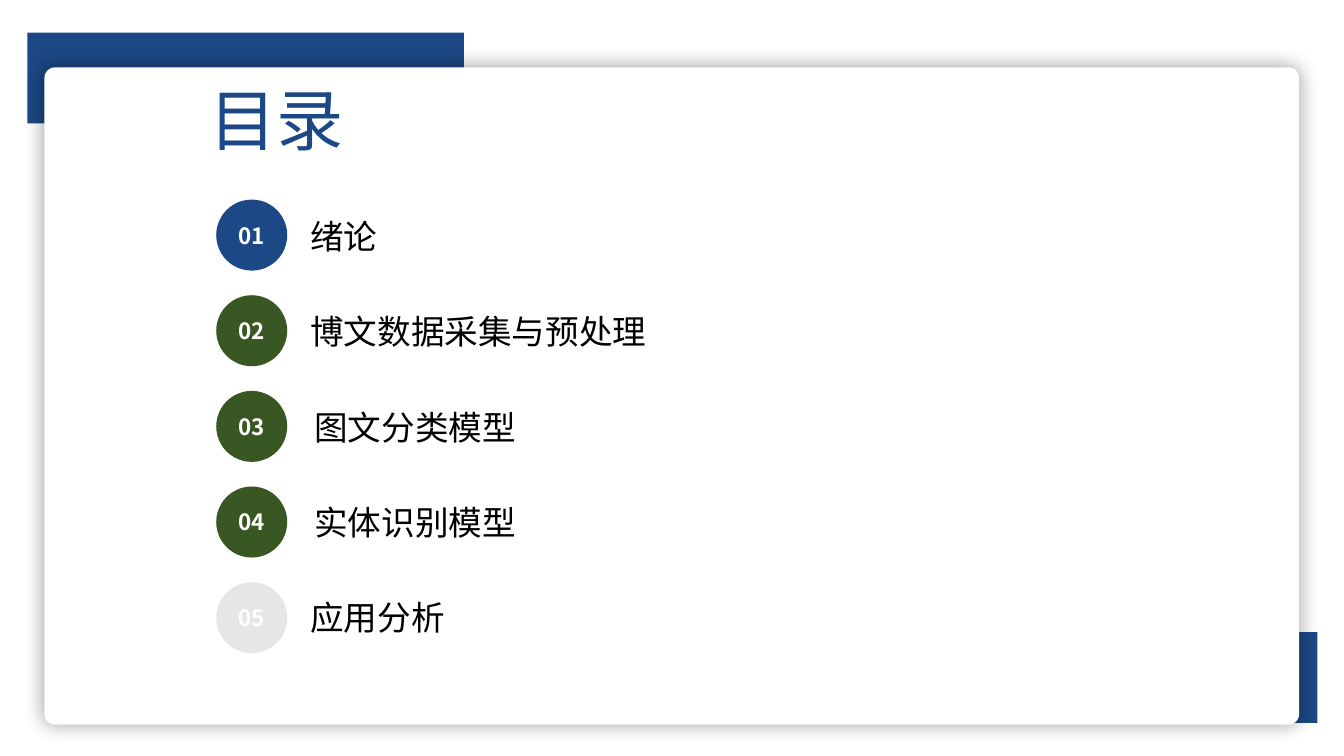
from lxml.etree import SubElement
from pptx import Presentation
from pptx.dml.color import RGBColor
from pptx.enum.shapes import MSO_SHAPE
from pptx.enum.text import MSO_ANCHOR, MSO_AUTO_SIZE, PP_ALIGN
from pptx.oxml.ns import qn
from pptx.util import Cm, Pt

NAVY = RGBColor(0x1C, 0x48, 0x85)
GREEN = RGBColor(0x38, 0x57, 0x23)
GREY = RGBColor(0xE7, 0xE6, 0xE6)
WHITE = RGBColor(0xFF, 0xFF, 0xFF)
BLACK = RGBColor(0x00, 0x00, 0x00)

BADGE_SIZE = 1.79
BADGE_LEFT, BADGE_TOP, BADGE_PITCH = 5.45, 5.03, 2.41
LABEL_TOP, LABEL_PITCH = 5.32, 2.4
CHAPTERS = [
    ("绪论", NAVY, 7.57),
    ("博文数据采集与预处理", GREEN, 7.57),
    ("图文分类模型", GREEN, 7.67),
    ("实体识别模型", GREEN, 7.67),
    ("应用分析", GREY, 7.57),
]


class ContentsSlide:
    font_name = "Noto Sans CJK SC"

    def __init__(self, deck):
        self.slide = deck.slides.add_slide(deck.slide_layouts[5])
        self.shapes = self.slide.shapes

    def add_text(self, frame, text, size, color, align, bold=False):
        paragraph = frame.paragraphs[0]
        paragraph.alignment = align
        run = paragraph.add_run()
        run.text = text
        run.font.name = self.font_name
        run.font.size = Pt(size)
        run.font.bold = bold
        run.font.color.rgb = color
        SubElement(run.font._element, qn("a:ea"), typeface=self.font_name)

    def block(self, kind, left, top, width, height, color):
        shape = self.shapes.add_shape(kind, Cm(left), Cm(top), Cm(width), Cm(height))
        shape.shadow.inherit = False
        shape.fill.solid()
        shape.fill.fore_color.rgb = color
        shape.line.fill.background()
        return shape

    def card(self, left, top, width, height):
        card = self.block(MSO_SHAPE.ROUNDED_RECTANGLE, left, top, width, height, WHITE)
        card.adjustments[0] = 0.016
        effects = card._element.spPr.find(qn("a:effectLst"))
        shadow = SubElement(effects, qn("a:outerShdw"), blurRad=str(Cm(0.5)),
                            dist="0", algn="ctr", rotWithShape="0")
        shade = SubElement(shadow, qn("a:srgbClr"), val=str(BLACK))
        SubElement(shade, qn("a:alpha"), val="40000")

    def title(self, text, left, top, width, height):
        title = self.shapes.title
        title.element.getparent().append(title.element)
        title.left, title.top = Cm(left), Cm(top)
        title.width, title.height = Cm(width), Cm(height)
        title.text_frame.vertical_anchor = MSO_ANCHOR.TOP
        title.text_frame.auto_size = MSO_AUTO_SIZE.SHAPE_TO_FIT_TEXT
        self.add_text(title.text_frame, text, 48, NAVY, PP_ALIGN.JUSTIFY)

    def badge(self, number, left, top, color):
        badge = self.block(MSO_SHAPE.OVAL, left, top, BADGE_SIZE, BADGE_SIZE, color)
        badge.text_frame.vertical_anchor = MSO_ANCHOR.MIDDLE
        self.add_text(badge.text_frame, number, 16, WHITE, PP_ALIGN.CENTER, bold=True)

    def label(self, text, left, top):
        label = self.shapes.add_textbox(Cm(left), Cm(top), Cm(10.29), Cm(1.27))
        label.text_frame.word_wrap = True
        label.text_frame.auto_size = MSO_AUTO_SIZE.SHAPE_TO_FIT_TEXT
        self.add_text(label.text_frame, text, 24, BLACK, PP_ALIGN.JUSTIFY)


def main():
    deck = Presentation()
    deck.slide_width, deck.slide_height = Cm(33.87), Cm(19.05)
    contents = ContentsSlide(deck)
    for left, top in [(22.2, 15.93), (0.69, 0.82)]:
        contents.block(MSO_SHAPE.RECTANGLE, left, top, 11, 2.29, NAVY)
    contents.card(1.12, 1.7, 31.62, 16.56)
    contents.title("目录", 5.03, 1.85, 6.45, 2.31)
    for row, (chapter, color, label_left) in enumerate(CHAPTERS):
        contents.badge(f"{row + 1:02}", BADGE_LEFT, BADGE_TOP + row * BADGE_PITCH, color)
        contents.label(chapter, label_left, LABEL_TOP + row * LABEL_PITCH)
    deck.save("out.pptx")


if __name__ == "__main__":
    main()
